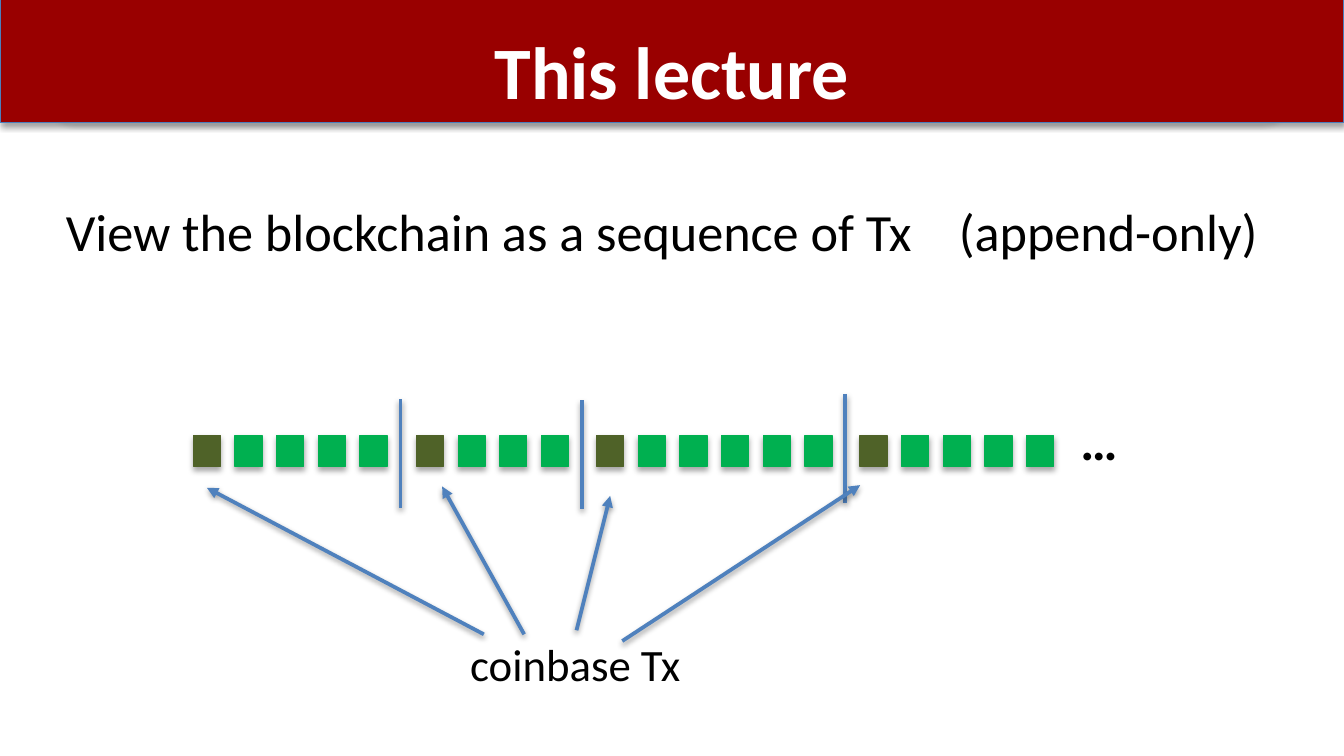
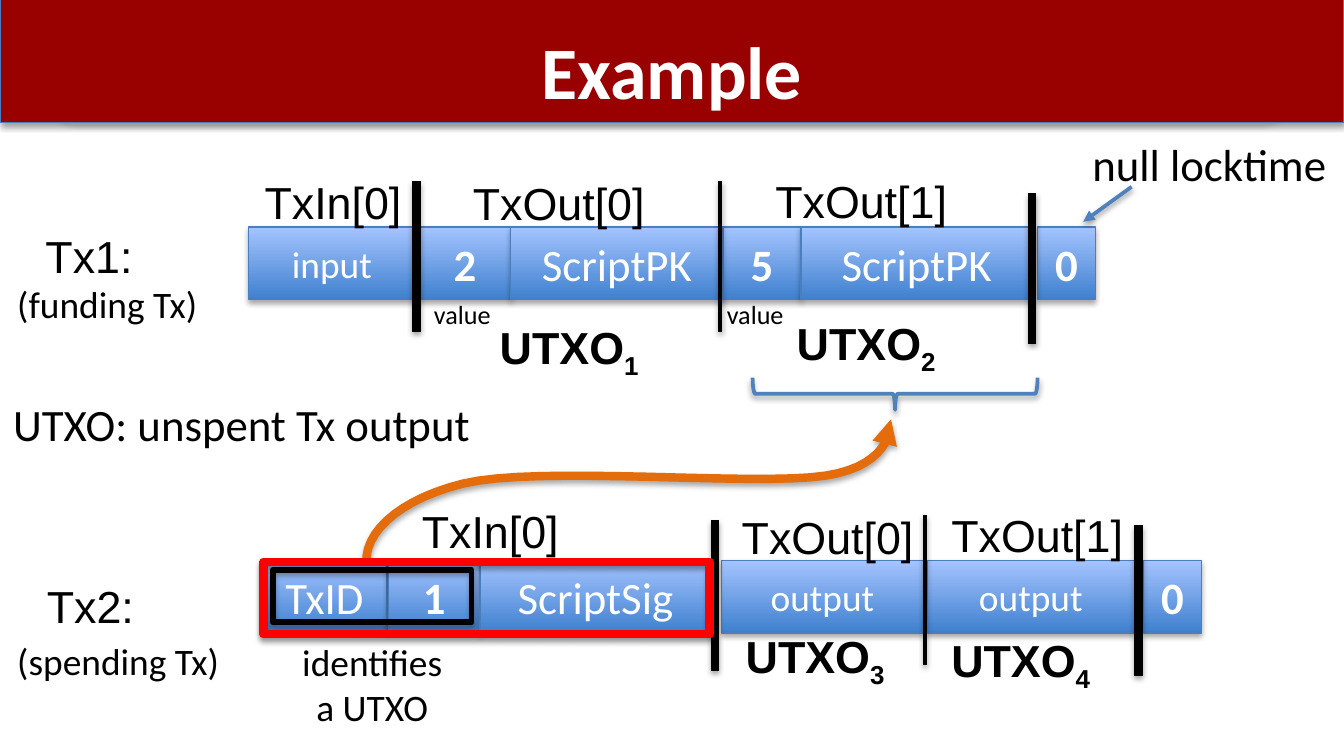
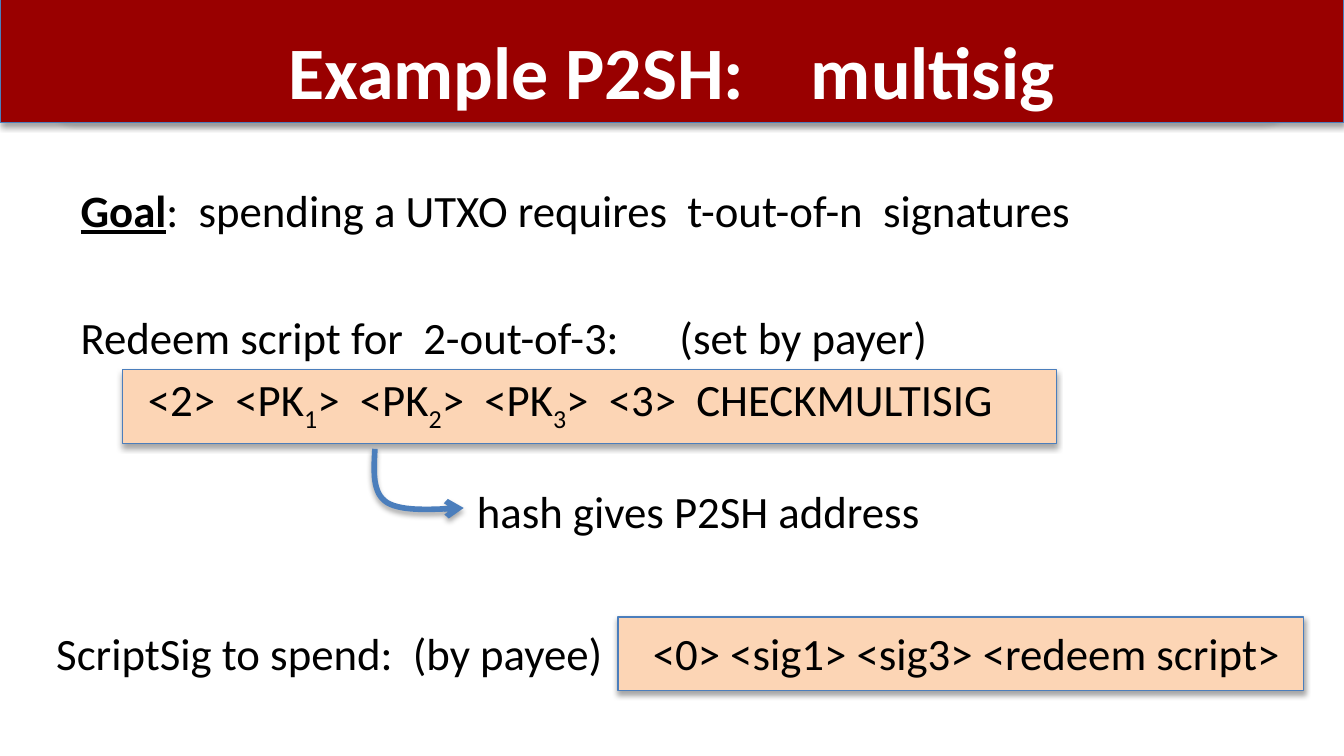
from lxml import etree
from pptx import Presentation
from pptx import util as u
from pptx.dml import color
from pptx.enum import shapes as sh, text as tx
from pptx.oxml import ns

# Shared look
BLACK, WHITE, RED = "000000", "FFFFFF", "FF0000"
BAND, EDGE, BLUE, ORANGE, PEACH = "990000", "4B7EBC", "4F81BD", "E46C0A", "FCD5B5"
CELL_STOPS = ("3F80CE", "A4C4FF")
COINBASE, REGULAR = "4F6228", "00B050"
RECT = sh.MSO_SHAPE.RECTANGLE


def rgb(value):
    return color.RGBColor.from_string(value)


def apply(target, **values):
    for key, value in values.items():
        setattr(target, key, value)


def inches(*lengths):
    return [u.Inches(length) for length in lengths]


def place(shape, left, top, width, height):
    apply(shape, left=u.Inches(left), top=u.Inches(top),
          width=u.Inches(width), height=u.Inches(height))


def send_back(shape, tree):
    tree.insert(2, shape.element)


# Text
def add_run(par, words, tint, size, name="Calibri", **font):
    run = par.add_run()
    run.text = words
    apply(run.font, size=u.Pt(size), name=name, **font)
    run.font.color.rgb = rgb(tint)
    return run


def write(par, words, size=24, tint=BLACK, **font):
    """Write words; the character after each underscore is a subscript."""
    first, *rest = words.split("_")
    add_run(par, first, tint, size, **font)
    for part in rest:
        low = add_run(par, part[0], tint, size, **font)
        low.font._element.set("baseline", "-25000")
        if part[1:]:
            add_run(par, part[1:], tint, size, **font)


def add_label(slide, box, words, align=None, **font):
    frame = slide.shapes.add_textbox(*inches(*box)).text_frame
    apply(frame, word_wrap=False, auto_size=tx.MSO_AUTO_SIZE.SHAPE_TO_FIT_TEXT)
    par = frame.paragraphs[0]
    if align:
        par.alignment = align
    for number, line in enumerate(words.split("\n")):
        if number:
            par.add_line_break()
        write(par, line, **font)


def set_title(slide, words):
    title = slide.shapes.title
    place(title, 0.5, 0.14, 9, 0.68)
    apply(title.text_frame, word_wrap=False, auto_size=tx.MSO_AUTO_SIZE.NONE,
          vertical_anchor=tx.MSO_ANCHOR.TOP)
    par = title.text_frame.paragraphs[0]
    par.alignment = tx.PP_ALIGN.CENTER
    write(par, words, 39.6, WHITE, bold=True)


def set_body(slide, box):
    body = slide.placeholders[1]
    place(body, *box)
    body.text_frame.auto_size = tx.MSO_AUTO_SIZE.NONE
    return body.text_frame


def plain_item(par, indent=0.0, before=None):
    if before:
        par.space_before = u.Pt(before)
    props = par._p.get_or_add_pPr()
    props.set("marL", str(u.Inches(indent)))
    props.set("indent", "0")
    etree.SubElement(props, ns.qn("a:buNone"))


# Shapes and lines
def add_shadow(shape, opacity=35, distance=1.8):
    effects = etree.SubElement(shape.element.spPr, ns.qn("a:effectLst"))
    outer = etree.SubElement(effects, ns.qn("a:outerShdw"), blurRad=str(u.Pt(3.1)),
                             dist=str(u.Pt(distance)), dir="5400000", rotWithShape="0")
    tint = etree.SubElement(outer, ns.qn("a:srgbClr"), val=BLACK)
    etree.SubElement(tint, ns.qn("a:alpha"), val=str(opacity * 1000))


def set_line(shape, tint, width, head=None):
    shape.line.color.rgb = rgb(tint)
    shape.line.width = u.Pt(width)
    if head:
        etree.SubElement(shape.line._get_or_add_ln(), ns.qn("a:tailEnd"), type=head)


def add_block(slide, box, fill=None, edge=EDGE, width=0.75, kind=RECT):
    block = slide.shapes.add_shape(kind, *inches(*box))
    if fill:
        block.fill.solid()
        block.fill.fore_color.rgb = rgb(fill)
    else:
        block.fill.background()
    set_line(block, edge, width)
    add_shadow(block)
    return block


def add_cell(slide, box, words, **font):
    cell = add_block(slide, box)
    cell.fill.gradient()
    cell.fill.gradient_angle = 90
    for stop, tint in zip(cell.fill.gradient_stops, CELL_STOPS):
        stop.color.rgb = rgb(tint)
    cell.text_frame.vertical_anchor = tx.MSO_ANCHOR.MIDDLE
    par = cell.text_frame.paragraphs[0]
    par.alignment = tx.PP_ALIGN.CENTER
    write(par, words, tint=WHITE, **font)


def add_line(slide, start, end, tint=BLUE, width=2, head=None):
    line = slide.shapes.add_connector(sh.MSO_CONNECTOR.STRAIGHT, *inches(*start, *end))
    set_line(line, tint, width, head)
    add_shadow(line, 38, 1.6)


def add_curve(slide, start, segments, tint, width, head, steps=16):
    """Draw a chain of cubic curves; each segment is two controls and an end."""
    points, here = [], start
    for segment in segments:
        knots = (here, *segment)
        for step in range(1, steps + 1):
            t = step / steps
            weights = ((1 - t) ** 3, 3 * t * (1 - t) ** 2, 3 * t * t * (1 - t), t ** 3)
            points.append(inches(*(sum(w * knot[axis] for w, knot in zip(weights, knots))
                                   for axis in (0, 1))))
        here = segment[-1]
    builder = slide.shapes.build_freeform(*inches(*start))
    builder.add_line_segments(points, close=False)
    curve = builder.convert_to_shape()
    curve.fill.background()
    set_line(curve, tint, width, head)
    add_shadow(curve)


def add_band(prs, slide):
    """Draw the title band once and move it to the master."""
    tree = prs.slide_master.shapes.element
    send_back(add_block(slide, (0, -0.01, 10, 0.92), BAND), tree)
    send_back(add_block(slide, (0.4, 0, 9.13, 0.89), edge="7D60A0",
                        kind=sh.MSO_SHAPE.ROUNDED_RECTANGLE), tree)


# Slides
def build_lecture(slide):
    set_title(slide, "This lecture")
    par = set_body(slide, (0.39, 1.43, 9.37, 0.68)).paragraphs[0]
    plain_item(par)
    write(par, "View the blockchain as a sequence of Tx    (append-only)", 28)

    # Transactions, each run led by a coinbase one
    for left, count in ((1.44, 5), (3.1, 4), (4.44, 6), (6.4, 5)):
        for index in range(count):
            tint = REGULAR if index else COINBASE
            add_block(slide, (left + 0.31 * index, 3.24, 0.2, 0.23), tint, tint)
    for x, top in ((2.98, 2.97), (4.33, 2.98), (6.29, 2.93)):
        add_line(slide, (x, top), (x, top + 0.81))
    add_label(slide, (7.94, 2.99, 0.48, 0.57), "…", size=28, bold=True)

    # Coinbase pointers
    add_label(slide, (3.4, 4.69, 1.78, 0.5), "coinbase Tx")
    for start, end in (((3.6, 4.72), (1.54, 3.63)), ((3.9, 4.72), (3.29, 3.62)),
                       ((4.29, 4.69), (4.54, 3.69)), ((4.63, 4.77), (6.4, 3.61))):
        add_line(slide, start, end, head="triangle")


def add_transaction(slide, top, cells, dividers, labels):
    """Draw one transaction: its fields, separators and Arial captions."""
    for left, width, words in cells:
        small = words in ("input", "output")
        add_cell(slide, (left, top, width, 0.54), words,
                 size=20 if small else 24, bold=words.isdigit())
    for x, y, width in dividers:
        add_line(slide, (x, y), (x, y + 1.12), BLACK, width)
    for left, y, width, words in labels:
        add_label(slide, (left, y, width, 0.5), words, name="Arial",
                  bold=words.startswith("UTXO"))


def build_example(slide):
    set_title(slide, "Example")

    # Funding transaction
    add_transaction(
        slide, 1.69,
        ((3.12, 0.68, "2"), (3.8, 1.58, "ScriptPK"), (5.38, 0.58, "5"),
         (5.96, 1.72, "ScriptPK"), (1.85, 1.24, "input"), (7.72, 0.43, "0")),
        ((3.1, 1.35, 4.5), (5.36, 1.35, 2), (7.68, 1.44, 4.5)),
        ((1.87, 1.25, 1.23, "TxIn[0]"), (3.42, 1.26, 1.49, "TxOut[0]"),
         (5.67, 1.24, 1.49, "TxOut[1]"), (0.24, 1.65, 0.86, "Tx1:"),
         (3.62, 2.33, 1.26, "UTXO_1"), (5.83, 2.3, 1.26, "UTXO_2")))
    add_label(slide, (8.03, 0.97, 1.96, 0.5), "null locktime")
    add_line(slide, (8.42, 1.39), (8.06, 1.65), head="triangle")

    # Reference from the spending input to the second output
    add_curve(slide, (2.79, 4.36),
              (((2.59, 4.07), (2.88, 3.74), (3.44, 3.6)),
               ((4, 3.46), (5.6, 3.62), (6.14, 3.54)),
               ((6.67, 3.46), (6.63, 3.12), (6.63, 3.12))),
              ORANGE, 4.5, "triangle")
    brace = add_block(slide, (6.54, 1.87, 0.24, 2.12), edge=BLUE, width=2,
                      kind=sh.MSO_SHAPE.LEFT_BRACE)
    brace.rotation = 270

    # Spending transaction
    add_transaction(
        slide, 4.17,
        ((1.95, 0.93, "TxID"), (2.89, 0.68, "1"), (3.57, 1.72, "ScriptSig"),
         (5.37, 1.5, "output"), (6.9, 1.54, "output"), (8.51, 0.43, "0")),
        ((6.88, 3.83, 2), (5.32, 3.87, 4.5), (8.47, 3.91, 4.5)),
        ((3.04, 3.7, 1.23, "TxIn[0]"), (5.42, 3.74, 1.49, "TxOut[0]"),
         (6.98, 3.73, 1.49, "TxOut[1]"), (0.25, 4.26, 0.86, "Tx2:"),
         (5.45, 4.63, 1.26, "UTXO_3"), (6.98, 4.66, 1.26, "UTXO_4")))
    add_block(slide, (2.03, 4.24, 1.48, 0.39), edge=BLACK, width=3)
    add_block(slide, (1.96, 4.18, 3.32, 0.54), edge=RED, width=4.5)

    # Explanations
    add_label(slide, (2.14, 4.71, 1.26, 0.77), "identifies\na UTXO",
              tx.PP_ALIGN.CENTER, size=20)
    add_label(slide, (0, 2.9, 3.63, 0.5), "UTXO: unspent Tx output")
    for left in (3.13, 5.31):
        add_label(slide, (left, 2.17, 0.63, 0.34), "value", size=14)
    add_label(slide, (0.03, 2.04, 1.55, 0.44), "(funding Tx)", size=20)
    add_label(slide, (0.03, 4.7, 1.72, 0.44), "(spending Tx)", size=20)


def build_multisig(slide):
    set_title(slide, "Example P2SH:    multisig")

    # Goal and redeem script, over the script boxes
    frame = set_body(slide, (0.5, 1.31, 9, 3.02))
    goal, redeem, script = frame.paragraphs[0], frame.add_paragraph(), frame.add_paragraph()
    plain_item(goal)
    write(goal, "Goal", bold=True, underline=True)
    write(goal, ":  spending a UTXO requires  t-out-of-n  signatures")
    plain_item(redeem, before=39)
    write(redeem, "Redeem script for  2-out-of-3:      (set by payer)")
    plain_item(script, indent=0.5)
    write(script, "<2>  <PK_1>  <PK_2>  <PK_3>  <3>  CHECKMULTISIG")
    for box in ((0.91, 2.75, 6.95, 0.55), (4.6, 4.59, 5.1, 0.55)):
        send_back(add_block(slide, box, PEACH), slide.shapes.element)

    # Address
    add_curve(slide, (2.79, 3.34),
              (((2.78, 3.51), (2.77, 3.67), (2.88, 3.74)),
               ((3, 3.81), (3.23, 3.79), (3.45, 3.78))), EDGE, 3, "arrow")
    add_label(slide, (3.45, 3.55, 3.53, 0.5), "hash gives P2SH address")

    # Spending script
    add_label(slide, (0.32, 4.61, 9.39, 0.5),
              "ScriptSig to spend:  (by payee)     <0> <sig1> <sig3> <redeem script>")


def main():
    prs = Presentation()
    width = u.Inches(10)
    apply(prs, slide_width=width, slide_height=width * 9 // 16)
    title_body, title_only = prs.slide_layouts[1], prs.slide_layouts[5]
    for layout, build in ((title_body, build_lecture), (title_only, build_example),
                          (title_body, build_multisig)):
        build(prs.slides.add_slide(layout))
    add_band(prs, prs.slides[0])
    prs.save("out.pptx")


if __name__ == "__main__":
    main()
